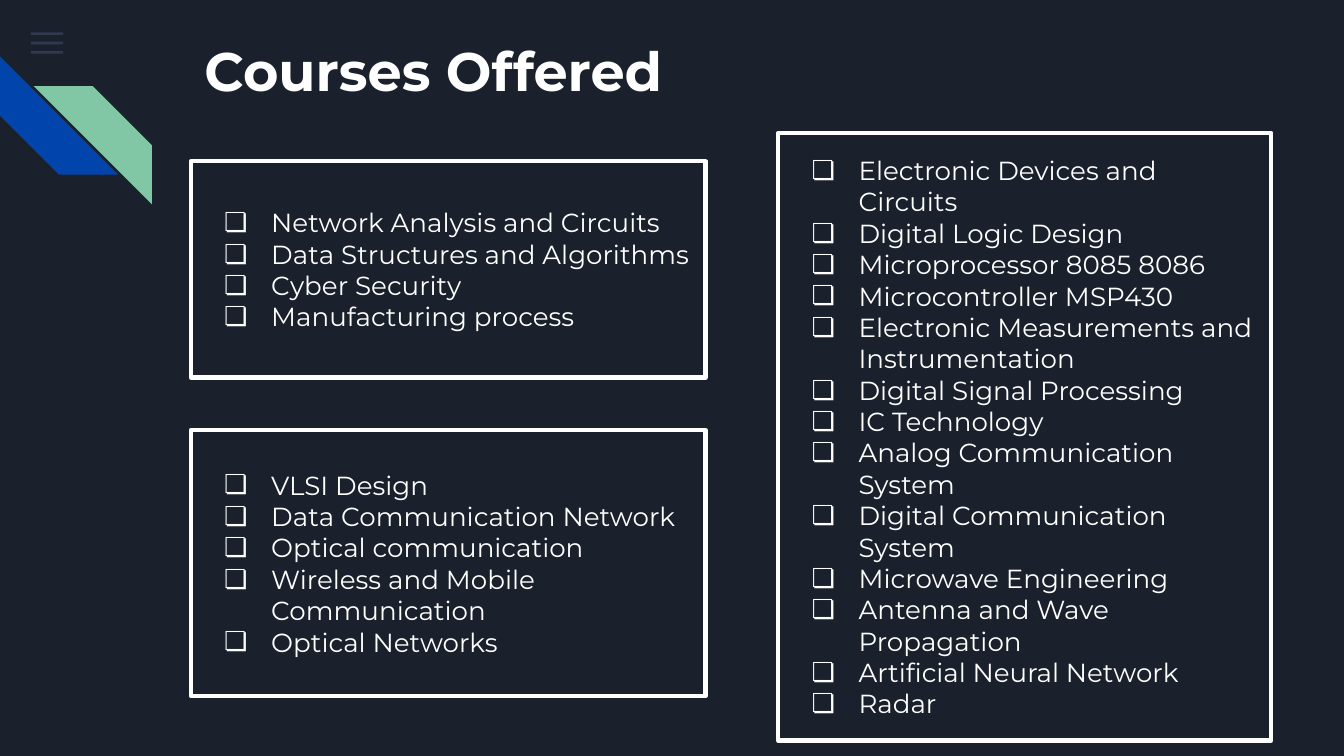
import dataclasses

import lxml.etree
import pptx
import pptx.dml.color
import pptx.enum.shapes
import pptx.enum.text
import pptx.oxml.ns
import pptx.util

Inches = pptx.util.Inches
Pt = pptx.util.Pt
Kind = pptx.enum.shapes.MSO_SHAPE
Anchor = pptx.enum.text.MSO_ANCHOR
Align = pptx.enum.text.PP_ALIGN


@dataclasses.dataclass(frozen=True)
class Theme:
    font: str = "Montserrat"
    back: str = "1B212C"
    text: str = "FFFFFF"
    bar: str = "55688B"
    blue: str = "0145AC"
    green: str = "82C7A5"
    title: float = 29
    body: float = 14
    edge: float = 2.25


def color(code):
    return pptx.dml.color.RGBColor.from_string(code)


def add(parent, tag, **attrs):
    return lxml.etree.SubElement(parent, pptx.oxml.ns.qn(tag), attrs)


class Deck:
    def __init__(self, theme):
        self.theme = theme
        self.file = pptx.Presentation()
        self.file.slide_width = Inches(10)
        self.file.slide_height = Inches(10 * 9 / 16)
        self.slide = self.file.slides.add_slide(self.file.slide_layouts[5])
        fill = self.slide.background.fill
        fill.solid()
        fill.fore_color.rgb = color(theme.back)

    def shape(self, kind, box):
        item = self.slide.shapes.add_shape(kind, *map(Inches, box))
        item.shadow.inherit = False
        return item

    def block(self, kind, box, tint, turn=0, alpha=None):
        item = self.shape(kind, box)
        item.rotation = turn
        item.fill.solid()
        item.fill.fore_color.rgb = color(tint)
        item.line.fill.background()
        if alpha:
            tone = item.fill._xPr.find(".//" + pptx.oxml.ns.qn("a:srgbClr"))
            add(tone, "a:alpha", val=str(alpha * 1000))

    def frame(self, item, anchor):
        body = item.text_frame
        body.word_wrap = True
        body.auto_size = pptx.enum.text.MSO_AUTO_SIZE.NONE
        body.vertical_anchor = anchor
        body.margin_left = body.margin_right = Inches(0.1)
        body.margin_top = body.margin_bottom = Inches(0.1)
        return body

    def style(self, para, size, bold=False):
        para.alignment = Align.LEFT
        for run in para.runs:
            run.font.name = self.theme.font
            run.font.size = Pt(size)
            run.font.bold = bold
            run.font.color.rgb = color(self.theme.text)

    def title(self, text, box):
        item = self.slide.shapes.title
        item.left, item.top, item.width, item.height = map(Inches, box)
        body = self.frame(item, Anchor.TOP)
        body.text = text
        self.style(body.paragraphs[0], self.theme.title, True)

    def panel(self, box, names):
        item = self.shape(Kind.RECTANGLE, box)
        item.fill.background()
        item.line.color.rgb = color(self.theme.text)
        item.line.width = Pt(self.theme.edge)
        add(item.line._get_or_add_ln(), "a:round")
        body = self.frame(item, Anchor.MIDDLE)
        body.text = "\n".join(names)
        for para in body.paragraphs:
            self.bullet(para)
            self.style(para, self.theme.body)

    def bullet(self, para):
        props = para._p.get_or_add_pPr()
        props.set("marL", str(Inches(0.5)))
        props.set("indent", str(Inches(-0.35)))
        add(add(props, "a:buClr"), "a:srgbClr", val=self.theme.text)
        add(props, "a:buFont", typeface=self.theme.font)
        add(props, "a:buChar", char="❏")


def main():
    theme = Theme()
    deck = Deck(theme)
    for row in range(3):
        box = (0.23, 0.24 + 0.07 * row, 0.24, 0.02)
        deck.block(Kind.RECTANGLE, box, theme.bar, alpha=36)
    deck.block(Kind.DIAGONAL_STRIPE, (0, 0.42, 0.88, 0.88), theme.blue, 270)
    deck.block(Kind.DIAGONAL_STRIPE, (0.25, 0.64, 0.88, 0.88), theme.green, 90)
    deck.title("Courses Offered", (1.42, 0.18, 7.7, 0.81))
    deck.panel((5.79, 0.99, 3.67, 4.52), [
        "Electronic Devices and Circuits",
        "Digital Logic Design",
        "Microprocessor 8085 8086",
        "Microcontroller MSP430",
        "Electronic Measurements and Instrumentation",
        "Digital Signal Processing",
        "IC Technology",
        "Analog Communication System",
        "Digital Communication System",
        "Microwave Engineering",
        "Antenna and Wave Propagation",
        "Artificial Neural Network",
        "Radar",
    ])
    deck.panel((1.42, 1.2, 3.83, 1.61), [
        "Network Analysis and Circuits",
        "Data Structures and Algorithms",
        "Cyber Security",
        "Manufacturing process",
    ])
    deck.panel((1.42, 3.2, 3.83, 1.98), [
        "VLSI Design",
        "Data Communication Network",
        "Optical communication",
        "Wireless and Mobile Communication",
        "Optical Networks",
    ])
    deck.file.save("out.pptx")


if __name__ == "__main__":
    main()
